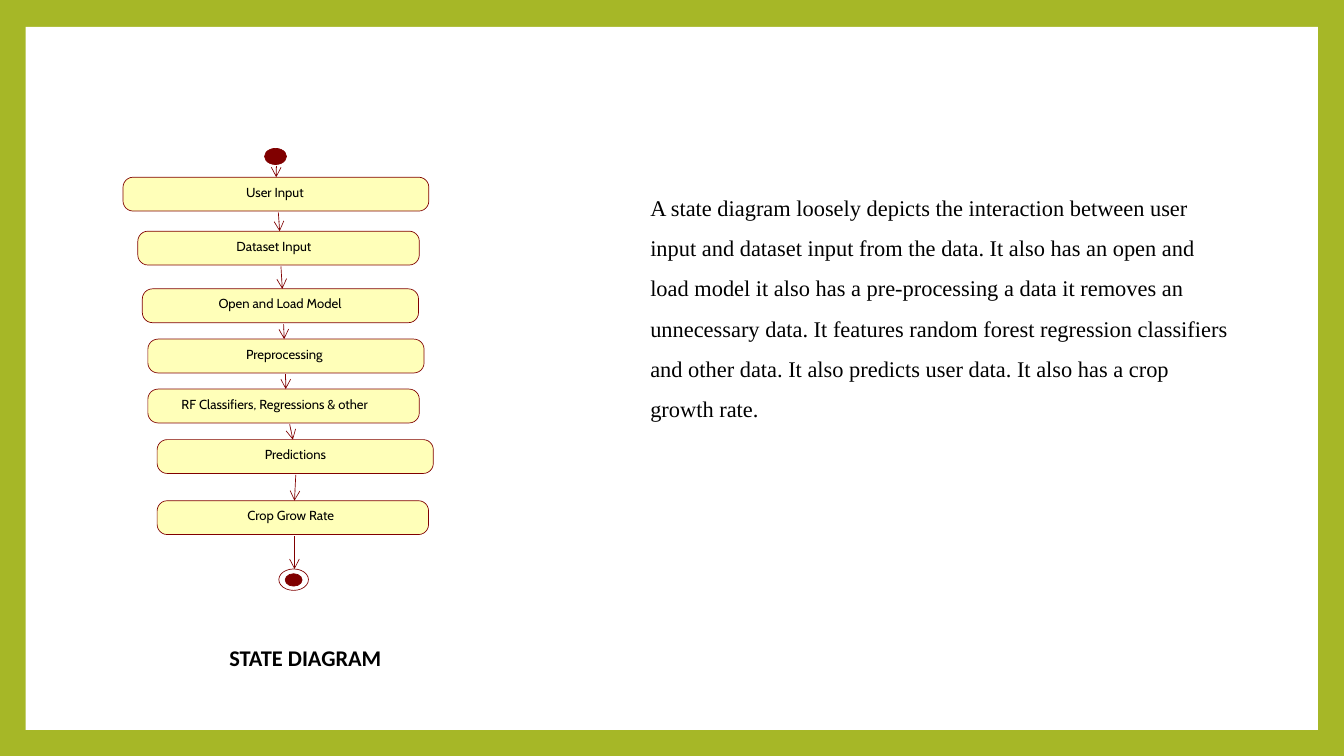
from lxml.etree import SubElement as Sub
from pptx import Presentation
from pptx.dml.color import RGBColor as Rgb
from pptx.enum.shapes import MSO_CONNECTOR as Conn, MSO_SHAPE as Kind
from pptx.enum.text import MSO_ANCHOR as Anchor, MSO_AUTO_SIZE as Fit, PP_ALIGN as Align
from pptx.oxml.ns import qn
from pptx.util import Cm, Pt

HUES = {"green": "A6B727", "white": "FFFFFF", "cream": "FFFFB9",
        "maroon": "800000", "black": "000000"}

# Label, box left, top, width, label left, label width (cm)
STEPS = [
    ("User Input", 4.65, 6.7, 11.56, 9.3, 3.1),
    ("Dataset Input", 5.21, 8.74, 10.64, 8.94, 4.27),
    ("Open and Load Model", 5.38, 10.92, 10.44, 8.26, 6.4),
    ("Preprocessing", 5.59, 12.82, 10.44, 9.3, 4.11),
    ("RF Classifiers, Regressions & other", 5.59, 14.71, 10.26, 6.86, 10.29),
    ("Predictions", 5.94, 16.62, 10.44, 10.01, 3.18),
    ("Crop Grow Rate", 5.94, 18.93, 10.26, 9.35, 4.7),
]
STEP_H = 1.28

# Start and end x of each arrow (cm)
ARROWS = [(10.44, 10.44), (10.52, 10.57), (10.62, 10.67), (10.72, 10.74),
          (10.8, 10.8), (10.95, 11.07), (11.18, 11.13), (11.13, 11.13)]
START_END, STOP_TOP = 6.22, 21.51

BODY = ("A state diagram loosely depicts the interaction between user input and "
        "dataset input from the data. It also has an open and load model it also "
        "has a pre-processing a data it removes an unnecessary data. It features "
        "random forest regression classifiers and other data. It also predicts "
        "user data. It also has a crop growth rate.")


def hue(name):
    return Rgb.from_string(HUES[name])


def write(box, text, font="Cabin", size=14, bold=False, align=Align.LEFT,
          lead=1.0, after=0, inset=None):
    frame = box.text_frame
    frame.word_wrap = True
    frame.auto_size = Fit.NONE
    frame.vertical_anchor = Anchor.TOP
    if inset is not None:
        frame.margin_left = frame.margin_right = Cm(inset)
        frame.margin_top = frame.margin_bottom = Cm(inset)
    para = frame.paragraphs[0]
    para.alignment, para.line_spacing = align, lead
    para.space_after = Pt(after)
    run = para.add_run()
    run.text = text
    run.font.name, run.font.size, run.font.bold = font, Pt(size), bold
    run.font.color.rgb = hue("black")


def label(slide, text, left, top, wide, high, **look):
    box = slide.shapes.add_textbox(Cm(left), Cm(top), Cm(wide), Cm(high))
    write(box, text, **look)


def shape(slide, kind, left, top, wide, high, fill=None, line="maroon"):
    item = slide.shapes.add_shape(kind, Cm(left), Cm(top), Cm(wide), Cm(high))
    item.shadow.inherit = False
    if fill:
        item.fill.solid()
        item.fill.fore_color.rgb = hue(fill)
    else:
        item.fill.background()
    if line:
        item.line.color.rgb = hue(line)
        item.line.width = Pt(0.75)
    else:
        item.line.fill.background()
    return item


def arrow(slide, x1, y1, x2, y2):
    link = slide.shapes.add_connector(Conn.STRAIGHT, Cm(x1), Cm(y1), Cm(x2), Cm(y2))
    link.line.color.rgb = hue("maroon")
    link.line.width = Pt(0.75)
    Sub(link.line._get_or_add_ln(), qn("a:tailEnd"), type="arrow", w="lg", len="lg")
    Sub(link.element.spPr, qn("a:effectLst"))


def step(slide, text, left, top, wide, text_x, text_w):
    box = shape(slide, Kind.ROUNDED_RECTANGLE, left, top, wide, STEP_H, "cream")
    box.adjustments[0] = 0.3
    label(slide, text, text_x, top + 0.22, text_w, 0.48,
          lead=1.07, after=8, inset=0)


def main():
    deck = Presentation()
    deck.slide_width, deck.slide_height = Cm(50.8), Cm(28.58)
    slide = deck.slides.add_slide(deck.slide_layouts[5])

    # Green border around a white page, behind everything
    slide.background.fill.solid()
    slide.background.fill.fore_color.rgb = hue("green")
    page = shape(slide, Kind.RECTANGLE, 0.97, 1.02, 48.84, 26.57, "white", None)
    page.element.getparent().insert(2, page.element)

    # Title under the diagram
    title = slide.shapes.title
    title.left, title.top = Cm(5.94), Cm(24.23)
    title.width, title.height = Cm(11.2), Cm(2.31)
    write(title, "STATE DIAGRAM", font="Calibri", size=24, bold=True,
          align=Align.CENTER)

    # Start, steps and stop
    shape(slide, Kind.OVAL, 10.0, 5.61, 0.83, 0.61, "maroon")
    for row in STEPS:
        step(slide, *row)
    shape(slide, Kind.OVAL, 10.54, STOP_TOP, 1.12, 0.81)
    shape(slide, Kind.OVAL, 10.78, 21.69, 0.64, 0.47, "maroon")

    # Arrows run from the foot of one part to the top of the next
    tops = [row[2] for row in STEPS]
    feet = [START_END] + [top + STEP_H for top in tops]
    for (x1, x2), foot, top in zip(ARROWS, feet, tops + [STOP_TOP]):
        arrow(slide, x1, foot + 0.05, x2, top)

    # Description
    label(slide, BODY, 24.33, 6.7, 22.43, 10.26,
          font="Times New Roman", size=24, lead=1.5)

    deck.save("out.pptx")


if __name__ == "__main__":
    main()
